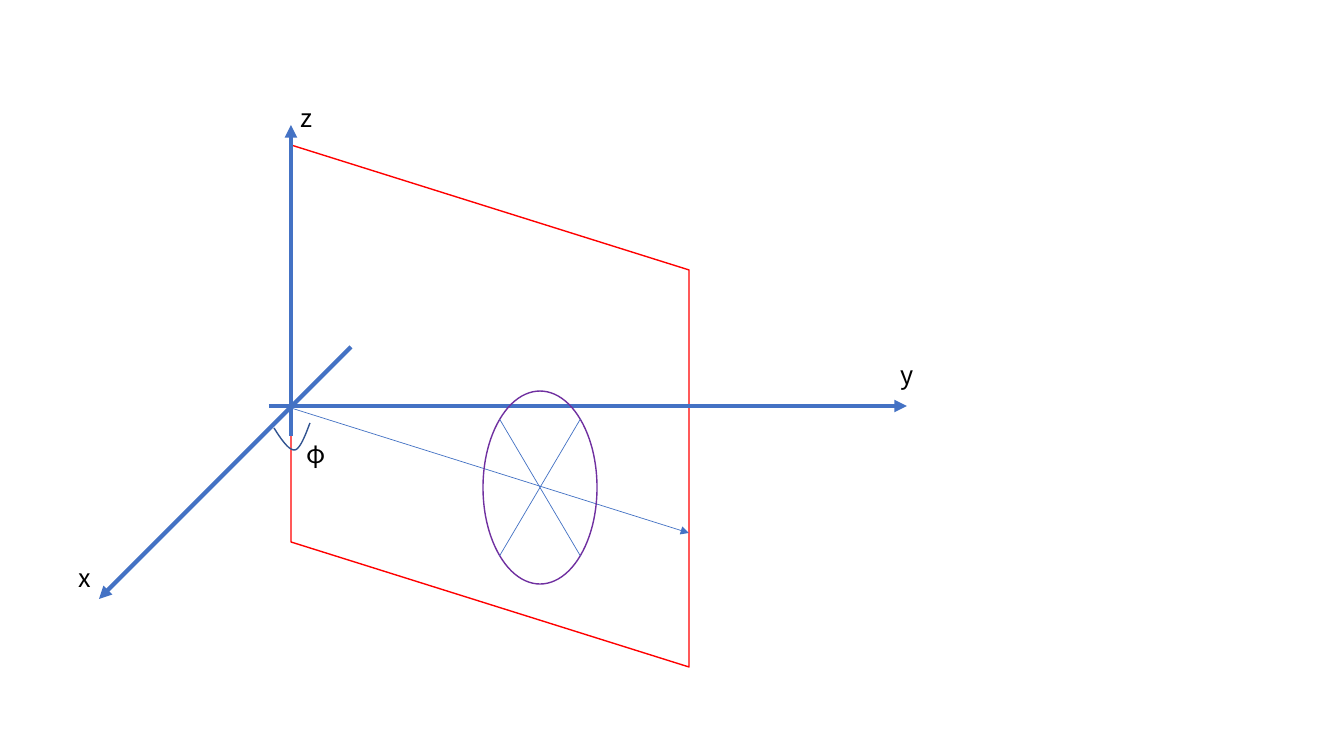
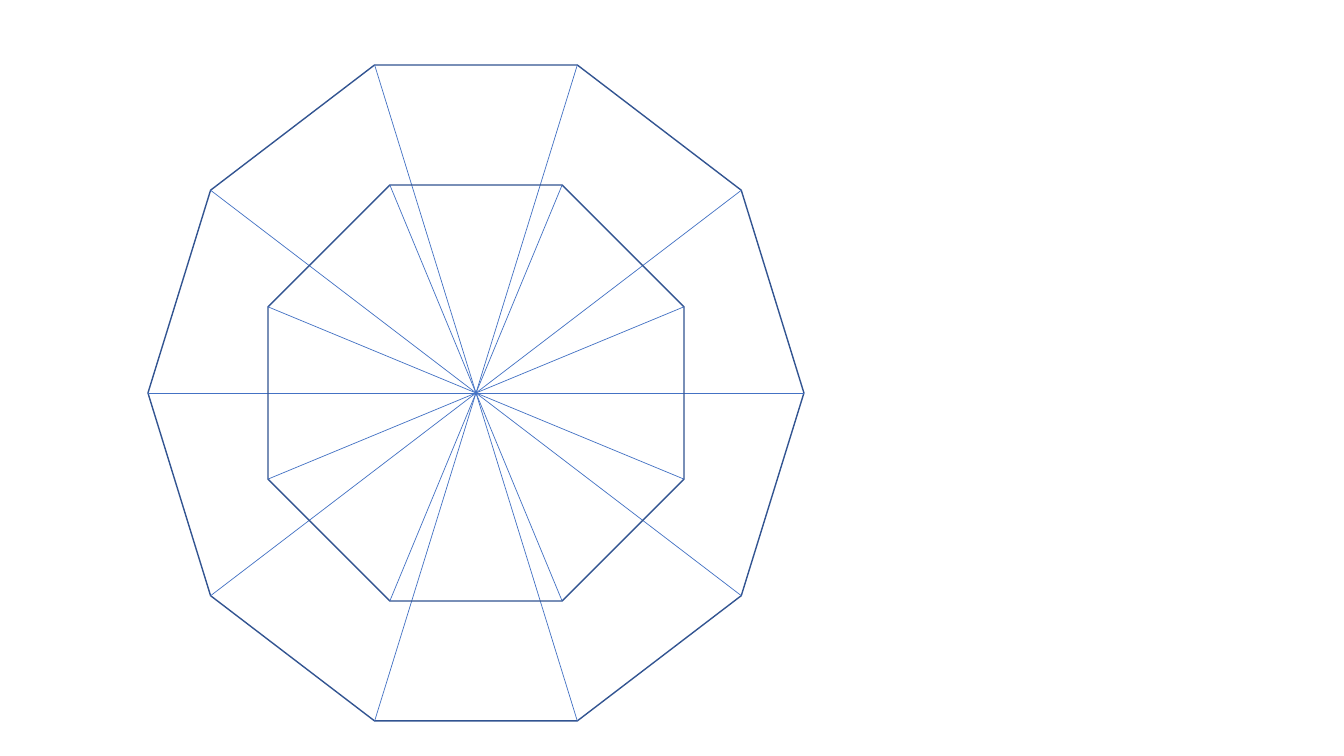
import math
from dataclasses import dataclass

from lxml import etree
from pptx import Presentation
from pptx import util as u
from pptx.dml.color import RGBColor
from pptx.enum import shapes, text
from pptx.oxml.ns import qn

SCALE = 914400 / 100.8
KIND = shapes.MSO_SHAPE


@dataclass(frozen=True)
class Theme:
    axis: str = "4472C4"
    edge: str = "325491"
    plane: str = "FF0000"
    ring: str = "7030A0"
    ink: str = "000000"
    font: str = "Noto Sans CJK SC"
    size: int = 18
    thick: float = 3
    thin: float = 1
    hair: float = 0.5


@dataclass(frozen=True)
class Box:
    x: float
    y: float
    w: float
    h: float

    def mid(self):
        return self.x + self.w / 2, self.y + self.h / 2


THEME = Theme()


def px(n):
    return u.Emu(round(n * SCALE))


def apply(item, form):
    for key, val in form.items():
        setattr(item, key, val)


def stroke(line, color, width):
    line.color.rgb = RGBColor.from_string(color)
    line.width = u.Pt(width)


def outline(shape, color):
    shape.shadow.inherit = False
    shape.fill.background()
    stroke(shape.line, color, THEME.thin)
    return shape


def figure(slide, kind, box, color):
    area = map(px, (box.x, box.y, box.w, box.h))
    return outline(slide.shapes.add_shape(kind, *area), color)


def segment(slide, start, end, width=THEME.hair, arrow=False):
    line = slide.shapes.add_connector(
        shapes.MSO_CONNECTOR.STRAIGHT, *map(px, (*start, *end)))
    stroke(line.line, THEME.axis, width)
    props = line.element.spPr
    if arrow:
        etree.SubElement(props.find(qn("a:ln")), qn("a:tailEnd"), type="triangle")
    etree.SubElement(props, qn("a:effectLst"))


def label(slide, word, box):
    area = map(px, (box.x, box.y, box.w, box.h))
    frame = slide.shapes.add_textbox(*area).text_frame
    apply(frame, {"word_wrap": False,
                  "auto_size": text.MSO_AUTO_SIZE.SHAPE_TO_FIT_TEXT})
    run = frame.paragraphs[0].add_run()
    run.text = word
    apply(run.font, {"name": THEME.font, "size": u.Pt(THEME.size)})
    run.font.color.rgb = RGBColor.from_string(THEME.ink)


def bezier(knots, steps=12):
    for i in range(1, steps + 1):
        t = i / steps
        mix = [math.comb(3, k) * t ** k * (1 - t) ** (3 - k) for k in range(4)]
        yield tuple(sum(m * p[d] for m, p in zip(mix, knots)) for d in (0, 1))


def curve(slide, knots, color):
    points = [p for i in range(0, len(knots) - 1, 3)
              for p in bezier(knots[i:i + 4])]
    build = slide.shapes.build_freeform(*map(px, knots[0]))
    build.add_line_segments([tuple(map(px, p)) for p in points], close=False)
    outline(build.convert_to_shape(), color)


def panel(slide, box):
    mid_x, mid_y = box.mid()
    turned = Box(mid_x - box.h / 2, mid_y - box.w / 2, box.h, box.w)
    shape = figure(slide, KIND.PARALLELOGRAM, turned, THEME.plane)
    shape.rotation = 90
    shape.adjustments[0] = 0.314


def wheel(slide, box):
    figure(slide, KIND.OVAL, box, THEME.ring)
    mid_x, mid_y = box.mid()
    dx, dy = (side / 2 * math.cos(math.pi / 4) for side in (box.w, box.h))
    for sign in (1, -1):
        segment(slide, (mid_x + sign * dx, mid_y - dy),
                (mid_x - sign * dx, mid_y + dy))


def space(slide, box):
    def at(x, y):
        return box.x + 222 + x, box.y + 309 + y

    panel(slide, Box(*at(0, -261), 398, 522))
    axes = [((0, 30), (0, -281)), ((-22, 0), (616, 0)), ((60, -59), (-192, 193))]
    for start, end in axes:
        segment(slide, at(*start), at(*end), THEME.thick, True)
    segment(slide, at(0, 2), at(398, 127), arrow=True)
    knots = [(-17, 22), (-10, 33), (-2, 45), (4, 44), (10, 43), (17, 22), (19, 17)]
    curve(slide, [at(*p) for p in knots], THEME.edge)
    words = [("z", 0, -309, 32), ("y", 600, -52, 32),
             ("x", -222, 151, 31), ("φ", 6, 27, 38)]
    for word, x, y, wide in words:
        label(slide, word, Box(*at(x, y), wide, 40))
    wheel(slide, Box(*at(192, -15), 114, 193))


def spokes(slide, box, kind, count, turn):
    figure(slide, kind, box, THEME.edge)
    rays = [2 * math.pi * (k + turn) / count for k in range(count)]
    mid_x, mid_y = box.mid()
    rad_x = box.w / 2 / max(map(math.cos, rays))
    rad_y = box.h / 2 / max(map(math.sin, rays))
    for ray in rays[:count // 2]:
        dx, dy = rad_x * math.cos(ray), rad_y * math.sin(ray)
        segment(slide, (mid_x - dx, mid_y - dy), (mid_x + dx, mid_y + dy))


def rings(slide, box):
    inset = 120
    inner = Box(box.x + inset, box.y + inset,
                box.w - 2 * inset, box.h - 2 * inset)
    spokes(slide, box, KIND.DECAGON, 10, 0)
    spokes(slide, inner, KIND.OCTAGON, 8, 0.5)


def main():
    deck = Presentation()
    apply(deck, {"slide_width": px(1344), "slide_height": px(756)})
    pages = [(space, Box(69, 97, 854, 571)), (rings, Box(148, 65, 656, 656))]
    for draw, box in pages:
        draw(deck.slides.add_slide(deck.slide_layouts[6]), box)
    deck.save("out.pptx")


if __name__ == "__main__":
    main()
